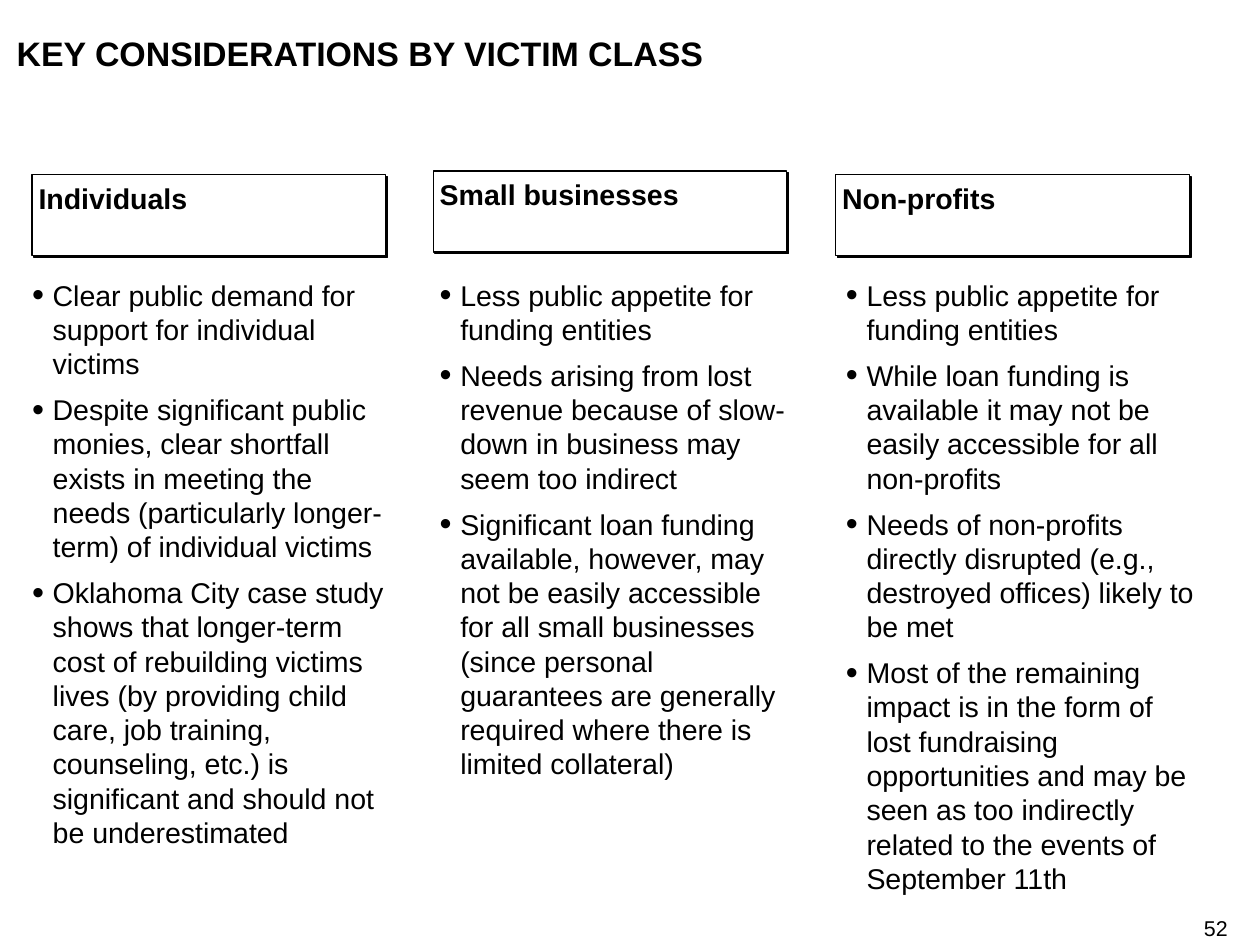
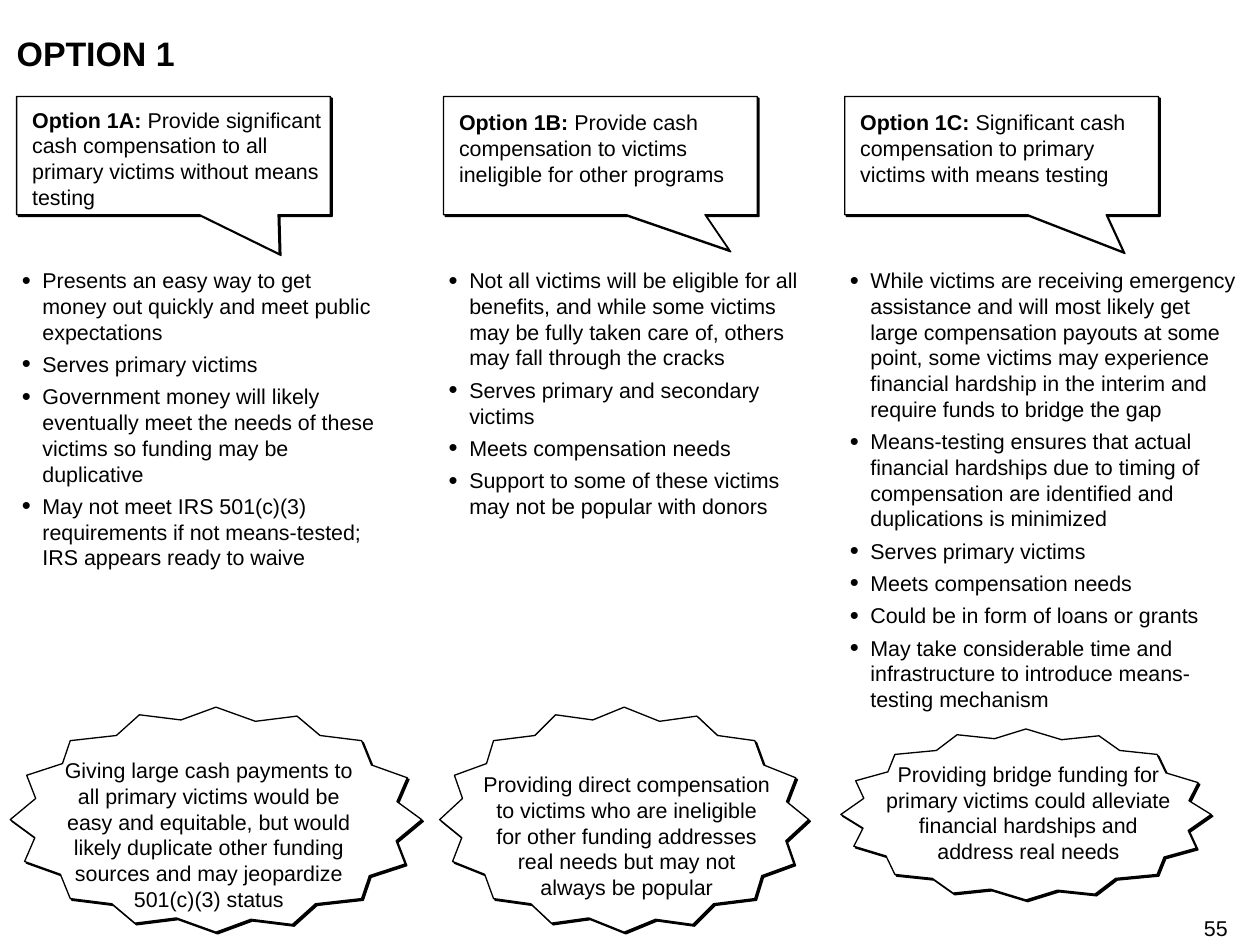
from lxml.etree import SubElement as Sub
from pptx import Presentation
from pptx.dml.color import RGBColor as Rgb
from pptx.enum.shapes import MSO_SHAPE as Kind
from pptx.enum.text import MSO_ANCHOR as Anchor, MSO_AUTO_SIZE as Fit, PP_ALIGN as Align
from pptx.oxml.ns import qn
from pptx.util import Inches, Pt

HUES = {"ink": "000000", "paper": "FFFFFF"}
FACE = "Arial"
BURST = [(0, 500), (60, 580), (35, 686), (122, 743), (146, 851), (247, 874),
         (303, 960), (404, 937), (500, 1000), (585, 943), (686, 966), (742, 874),
         (854, 851), (873, 749), (960, 697), (938, 594)]
BURST += [(1000 - x, 1000 - y) for x, y in BURST]


def hue(name):
    return Rgb.from_string(HUES[name])


def put(item, vals):
    for key, val in vals.items():
        setattr(item, key, val)


class Deck:
    def __init__(self):
        self.prs = Presentation()
        put(self.prs, {"slide_width": Inches(9.8), "slide_height": Inches(7.35)})

    def start(self, title, page):
        self.slide = self.prs.slides.add_slide(self.prs.slide_layouts[4])
        self.shapes = self.slide.shapes
        self.slots = [s for s in self.slide.placeholders if s.placeholder_format.idx in range(1, 5)]
        head = self.shapes.title
        self.place(head, 0.13, 0.25, 9.43, 0.32)
        self.prose(head, [[(title, True)]], 19)
        self.text(9.35, 7.12, 0.2, 0.2, [(page, False)], 12, Align.RIGHT)

    def place(self, shape, x, y, w, h):
        put(shape, {"left": Inches(x), "top": Inches(y),
                    "width": Inches(w), "height": Inches(h)})

    def prose(self, shape, paras, size, align=Align.LEFT, after=0, inset=0):
        frame = shape.text_frame
        pad = Inches(inset)
        put(frame, {"word_wrap": True, "auto_size": Fit.NONE, "vertical_anchor": Anchor.TOP,
                    "margin_left": pad, "margin_right": pad,
                    "margin_top": pad, "margin_bottom": pad})
        for i, runs in enumerate(paras):
            para = frame.add_paragraph() if i else frame.paragraphs[0]
            put(para, {"alignment": align, "space_before": Pt(0),
                       "space_after": Pt(after), "line_spacing": 1.0})
            for words, bold in runs:
                run = para.add_run()
                run.text = words
                put(run.font, {"name": FACE, "size": Pt(size), "bold": bold})
                run.font.color.rgb = hue("ink")
        return frame

    def text(self, x, y, w, h, runs, size, align=Align.LEFT, after=0):
        box = self.shapes.add_textbox(Inches(x), Inches(y), Inches(w), Inches(h))
        self.prose(box, [runs], size, align, after)

    def list(self, x, y, w, h, items, size, after):
        slot = self.slots.pop(0)
        self.place(slot, x, y, w, h)
        frame = self.prose(slot, [[(item, False)] for item in items], size, after=after)
        for para in frame.paragraphs:
            props = para._p.get_or_add_pPr()
            props.set("marL", str(Inches(0.16)))
            props.set("indent", str(-Inches(0.16)))
            Sub(Sub(props, qn("a:buClr")), qn("a:srgbClr"), val=HUES["ink"])
            Sub(props, qn("a:buSzPct"), val="120000")
            Sub(props, qn("a:buFont"), typeface=FACE)
            Sub(props, qn("a:buChar"), char="•")

    def dress(self, shape):
        shape.fill.solid()
        shape.fill.fore_color.rgb = hue("paper")
        shape.line.color.rgb = hue("ink")
        shape.line.width = Pt(0.75)
        shape.shadow.inherit = False
        glow = shape._element.spPr.find(qn("a:effectLst"))
        cast = Sub(glow, qn("a:outerShdw"), dist=str(Pt(1.4)), dir="2700000",
                   algn="ctr", rotWithShape="0")
        Sub(cast, qn("a:srgbClr"), val=HUES["ink"])

    def shape(self, kind, x, y, w, h):
        shape = self.shapes.add_shape(kind, Inches(x), Inches(y), Inches(w), Inches(h))
        self.dress(shape)
        return shape

    def label(self, x, y, words):
        box = self.shape(Kind.RECTANGLE, x, y, 2.75, 0.63)
        self.prose(box, [[(words, True)]], 16, inset=0.05)

    def callout(self, x, drop, tip, name, words, h):
        box = self.shape(Kind.RECTANGULAR_CALLOUT, x, 0.75, 2.44, 0.92)
        for i, val in enumerate(tip):
            box.adjustments[i] = val
        self.text(x + 0.12, drop, 2.28, h, [(name, True), (" " + words, False)], 12, after=2.2)

    def burst(self, x, y, w, h, area, words):
        pen = self.shapes.build_freeform(*BURST[0], scale=(Inches(w) / 1000, Inches(h) / 1000))
        pen.add_line_segments(BURST[1:], close=True)
        self.dress(pen.convert_to_shape(Inches(x), Inches(y)))
        self.text(*area, [(words, False)], 12, Align.CENTER, 3.7)

    def finish(self):
        for slot in self.slots:
            slot._element.getparent().remove(slot._element)


GROUPS = [
    (0.25, 1.36, "Individuals", 0.25, 4.45, [
        "Clear public demand for support for individual victims",
        "Despite significant public monies, clear shortfall exists in meeting the needs "
        "(particularly longer-term) of individual victims",
        "Oklahoma City case study shows that longer-term cost of rebuilding victims lives "
        "(by providing child care, job training, counseling, etc.) is significant and "
        "should not be underestimated"]),
    (3.37, 1.33, "Small businesses", 3.42, 3.91, [
        "Less public appetite for funding entities",
        "Needs arising from lost revenue because of slow-down in business may seem too indirect",
        "Significant loan funding available, however, may not be easily accessible for all "
        "small businesses (since personal guarantees are generally required where there is "
        "limited collateral)"]),
    (6.5, 1.36, "Non-profits", 6.58, 4.8, [
        "Less public appetite for funding entities",
        "While loan funding is available it may not be easily accessible for all non-profits",
        "Needs of non-profits directly disrupted (e.g., destroyed offices) likely to be met",
        "Most of the remaining impact is in the form of lost fundraising opportunities and "
        "may be seen as too indirectly related to the events of September 11th"]),
]

PLANS = [
    ((0.13, 0.83, (0.337, 0.83), "Option 1A:",
      "Provide significant cash compensation to all primary victims without means testing", 0.8),
     (0.17, 2.08, 2.75, 2.36), [
        "Presents an easy way to get money out quickly and meet public expectations",
        "Serves primary victims",
        "Government money will likely eventually meet the needs of these victims so funding "
        "may be duplicative",
        "May not meet IRS 501(c)(3) requirements if not means-tested; IRS appears ready to waive"],
     (0.08, 5.5, 3.2, 1.75, (0.5, 5.89, 2.25, 1.2),
      "Giving large cash payments to all primary victims would be easy and equitable, but "
      "would likely duplicate other funding sources and may jeopardize 501(c)(3) status")),
    ((3.45, 0.85, (0.41, 0.799), "Option 1B:",
      "Provide cash compensation to victims ineligible for other programs", 0.6),
     (3.49, 2.08, 2.75, 1.96), [
        "Not all victims will be eligible for all benefits, and while some victims may be "
        "fully taken care of, others may fall through the cracks",
        "Serves primary and secondary victims",
        "Meets compensation needs",
        "Support to some of these victims may not be popular with donors"],
     (3.42, 5.5, 2.87, 1.75, (3.75, 6, 2.25, 1),
      "Providing direct compensation to victims who are ineligible for other funding "
      "addresses real needs but may not always be popular")),
    ((6.57, 0.85, (0.388, 0.814), "Option 1C:",
      "Significant cash compensation to primary victims with means testing", 0.6),
     (6.61, 2.08, 3.06, 3.46), [
        "While victims are receiving emergency assistance and will most likely get large "
        "compensation payouts at some point, some victims may experience financial hardship "
        "in the interim and require funds to bridge the gap",
        "Means-testing ensures that actual financial hardships due to timing of compensation "
        "are identified and duplications is minimized",
        "Serves primary victims",
        "Meets compensation needs",
        "Could be in form of loans or grants",
        "May take considerable time and infrastructure to introduce means- testing mechanism"],
     (6.54, 5.67, 2.88, 1.33, (6.83, 5.92, 2.34, 0.8),
      "Providing bridge funding for primary victims could alleviate financial hardships and "
      "address real needs")),
]


def main():
    deck = Deck()
    deck.start("KEY CONSIDERATIONS BY VICTIM CLASS", "52")
    for x, y, name, left, h, items in GROUPS:
        deck.label(x, y, name)
        deck.list(left, 2.16, 2.75, h, items, 16, 6.5)
    deck.finish()

    deck.start("OPTION 1", "55")
    for call, area, items, star in PLANS:
        deck.callout(*call)
        deck.list(*area, items, 12, 3.7)
        deck.burst(*star)
    deck.finish()
    deck.prs.save("out.pptx")


if __name__ == "__main__":
    main()
